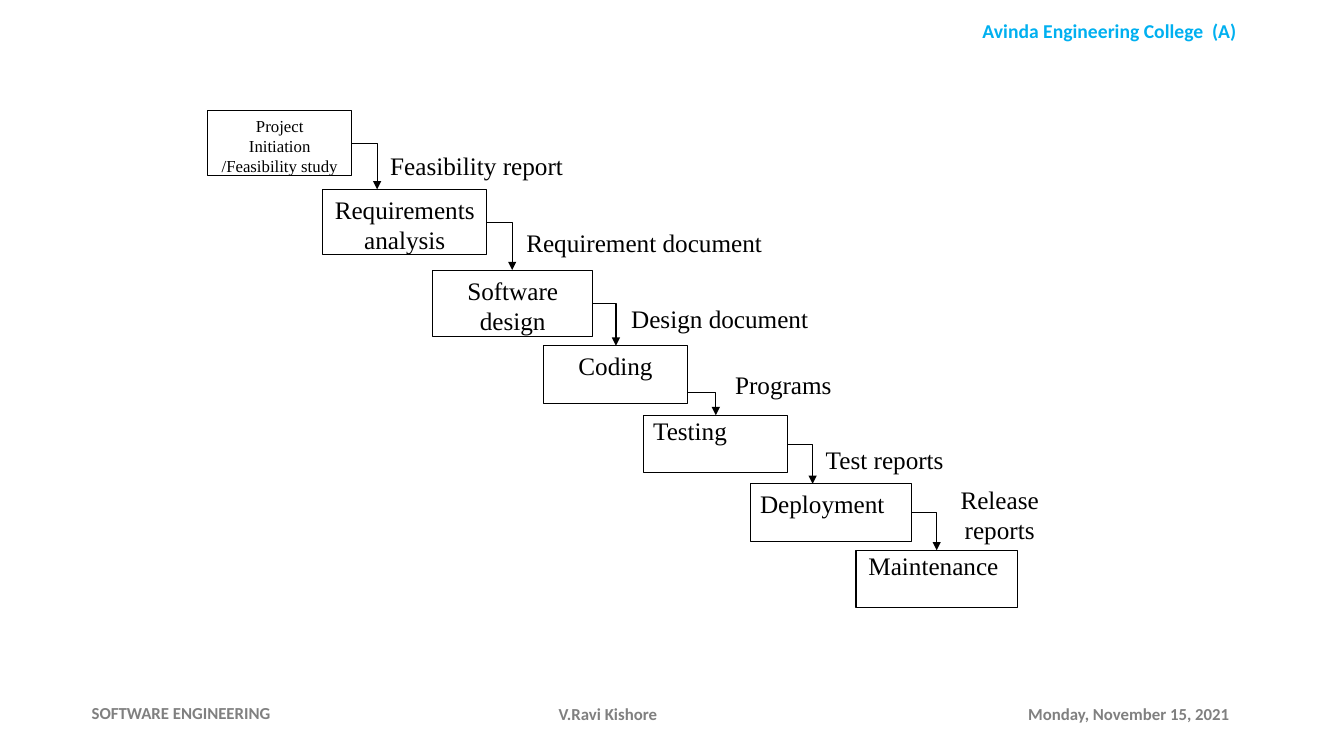
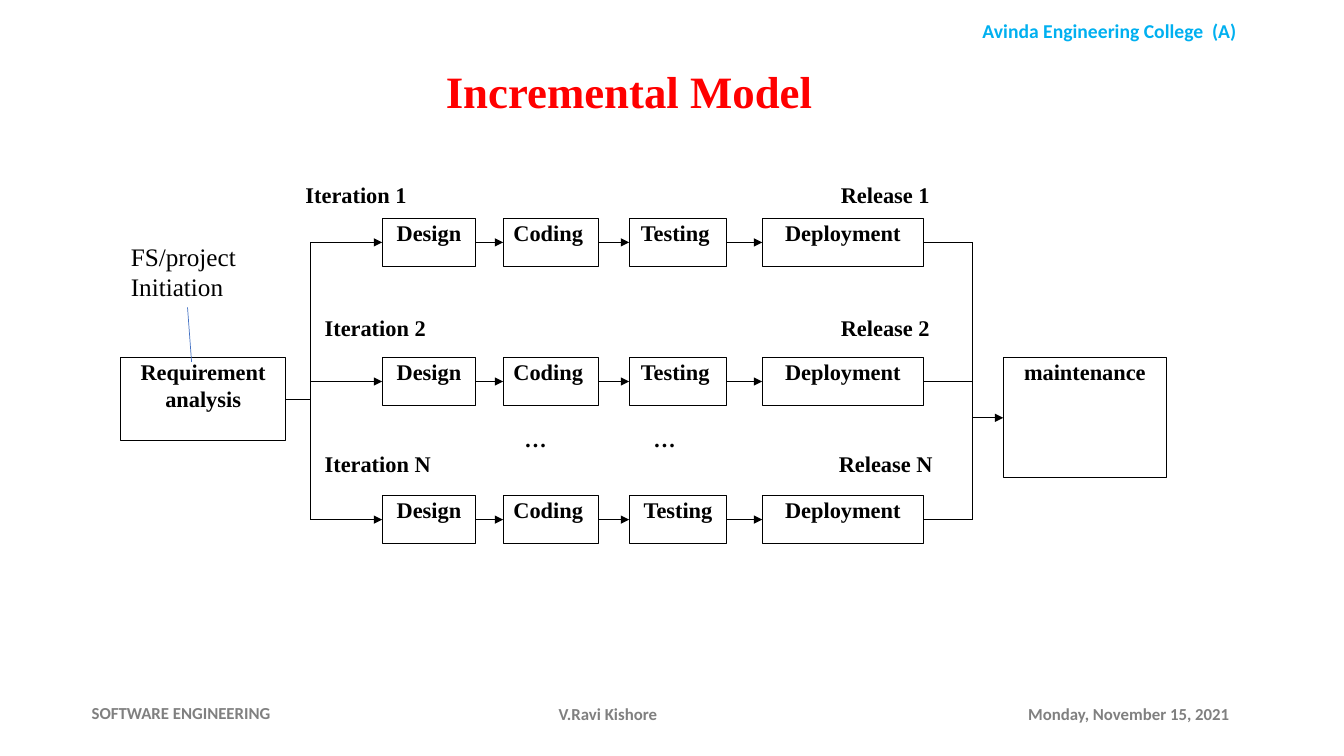
from pptx import Presentation
from pptx.dml.color import RGBColor
from pptx.enum.shapes import MSO_CONNECTOR, MSO_SHAPE
from pptx.enum.text import MSO_ANCHOR, PP_ALIGN
from pptx.oxml.ns import qn
from pptx.util import Inches, Pt
from lxml.etree import SubElement

# Shared style
BLACK, WHITE, GREY = "000000", "FFFFFF", "808080"
SKY, RED, BLUE = "00B0F0", "FF0000", "4472C4"
SERIF, SANS = "Times New Roman", "Calibri"
LEFT, CENTER = PP_ALIGN.LEFT, PP_ALIGN.CENTER
TOP, MIDDLE = MSO_ANCHOR.TOP, MSO_ANCHOR.MIDDLE
PAD, SIDES, NONE = (0.1, 0.05), (0.1, 0), (0, 0)  # horizontal, vertical inset

# Header and footer: text, place, size, colour, alignment, anchor
FRAME = [
    ("Avinda Engineering College  (A)", (9.09, 0.14, 3.83, 0.34), 14, SKY, CENTER, TOP),
    ("SOFTWARE ENGINEERING", (0.81, 6.87, 2.11, 0.4), 12, GREY, LEFT, MIDDLE),
    ("V.Ravi Kishore", (4.53, 6.88, 3, 0.4), 12, GREY, CENTER, MIDDLE),
    ("Monday, November 15, 2021", (10.1, 6.88, 2.3, 0.4), 12, GREY, LEFT, MIDDLE),
]

# Waterfall phases: text, place, size, alignment, insets
PHASES = [
    ("Project Initiation /Feasibility study", (2.06, 1.1, 1.43, 0.64), 12, CENTER, PAD),
    ("Requirements analysis", (3.2, 1.88, 1.63, 0.65), 18, CENTER, PAD),
    ("Software design", (4.29, 2.68, 1.59, 0.66), 18, CENTER, PAD),
    ("Coding", (5.39, 3.43, 1.43, 0.57), 18, CENTER, PAD),
    ("Testing", (6.38, 4.12, 1.43, 0.57), 18, LEFT, SIDES),
    ("Deployment", (7.44, 4.8, 1.6, 0.57), 18, LEFT, PAD),
    ("Maintenance ", (8.49, 5.46, 1.6, 0.57), 18, CENTER, NONE),
]
# What each phase hands on: text, place, alignment, then exit height and reach of the arrow
HANDOVERS = [
    ("Feasibility report", (3.87, 1.49, 1.72, 0.26), LEFT, 1.42, 0.25),
    ("Requirement document ", (5.22, 2.25, 3.04, 0.29), LEFT, 2.21, 0.25),
    ("Design document", (6.26, 3.01, 2.01, 0.25), LEFT, 3.01, 0.23),
    ("Programs ", (7.29, 3.66, 0.98, 0.33), LEFT, 3.89, 0.28),
    ("Test reports", (8.19, 4.41, 1.26, 0.28), LEFT, 4.41, 0.25),
    ("Release reports", (9.46, 4.8, 0.91, 0.57), CENTER, 5.08, 0.25),
]

# Incremental model: columns (left, width) and rows (top, stages, labels)
TITLE = "Incremental Model"
COLUMNS = [(3.79, 0.93), (4.99, 0.95), (6.24, 0.97), (7.56, 1.6)]
STAGES = ["Design", "Coding ", "Testing ", "Deployment"]
ROWS = [
    (2.17, STAGES, ("Iteration 1", 3.03, 1.8), ("Release 1", 8.34, 1.8)),
    (3.55, STAGES, ("Iteration 2", 3.22, 3.12), ("Release 2", 8.34, 3.12)),
    (4.92, ["Design", "Coding ", "Testing", "Deployment"],
     ("Iteration N", 3.22, 4.47), ("Release N", 8.32, 4.47)),
]
ROW_H = 0.47
FORK_X, JOIN_X = 3.08, 9.65
ANALYSIS = ("Requirement analysis", (1.2, 3.55, 1.63, 0.82))
MAINTENANCE = ("maintenance", (9.95, 3.55, 1.62, 1.19))
DOTS = [(5.2, 4.22, 0.54, 0.38), (6.48, 4.22, 0.45, 0.36)]
START_NOTE = ("FS/project Initiation", (1.2, 2.34, 1.33, 0.71))


def rgb(color):
    return RGBColor.from_string(color)


def put_text(sp, text, size, color=BLACK, font=SERIF, bold=False,
             align=LEFT, anchor=TOP, inset=PAD):
    tf = sp.text_frame
    tf.word_wrap = True
    tf.vertical_anchor = anchor
    tf.margin_left = tf.margin_right = Inches(inset[0])
    tf.margin_top = tf.margin_bottom = Inches(inset[1])
    p = tf.paragraphs[0]
    p.alignment = align
    r = p.add_run()
    r.text = text
    r.font.size, r.font.name, r.font.bold = Pt(size), font, bold
    r.font.color.rgb = rgb(color)
    return p


def add_text(s, text, place, size, **style):
    return put_text(s.shapes.add_textbox(*map(Inches, place)), text, size, **style)


def add_box(s, text, place, size, line=BLACK, **style):
    sp = s.shapes.add_shape(MSO_SHAPE.RECTANGLE, *map(Inches, place))
    sp.shadow.inherit = False
    sp.fill.solid()
    sp.fill.fore_color.rgb = rgb(WHITE)
    sp.line.color.rgb = rgb(line)
    sp.line.width = Pt(0.75)
    put_text(sp, text, size, **style)


def add_line(s, x1, y1, x2, y2, arrow=False, bent=False, color=BLACK, width=0.75):
    kind = MSO_CONNECTOR.ELBOW if bent else MSO_CONNECTOR.STRAIGHT
    cx = s.shapes.add_connector(kind, *map(Inches, (x1, y1, x2, y2)))
    cx.line.color.rgb = rgb(color)
    cx.line.width = Pt(width)
    pr = cx._element.spPr
    if bent:  # one corner: across, then down
        pr.find(qn("a:prstGeom")).set("prst", "bentConnector2")
    if arrow:
        SubElement(pr.find(qn("a:ln")), qn("a:tailEnd"), type="triangle")
    SubElement(pr, qn("a:effectLst"))


def new_slide(prs):
    s = prs.slides.add_slide(prs.slide_layouts[6])
    for text, place, size, color, align, anchor in FRAME:
        add_text(s, text, place, size, color=color, font=SANS, bold=True,
                 align=align, anchor=anchor)
    return s


prs = Presentation()
prs.slide_width, prs.slide_height = Inches(13.33), Inches(7.5)

# Slide 1: waterfall
s = new_slide(prs)
for text, place, size, align, inset in PHASES:
    add_box(s, text, place, size, align=align, inset=inset)
for i, (text, place, align, exit_y, reach) in enumerate(HANDOVERS):
    add_box(s, text, place, 18, line=WHITE, align=align, inset=NONE)
    left, _, width, _ = PHASES[i][1]
    next_top = PHASES[i + 1][1][1]
    right = left + width
    add_line(s, right, exit_y, right + reach, next_top, arrow=True, bent=True)

# Slide 2: incremental model
s = new_slide(prs)
stage = dict(size=16, bold=True, align=CENTER, inset=NONE)
label = dict(size=16, bold=True, line=WHITE, inset=NONE)
p = add_text(s, TITLE, (1.74, 0.31, 9, 1.25), 32, color=RED, bold=True,
             align=CENTER, anchor=MIDDLE)
p.line_spacing = 0.9
for text, place in (ANALYSIS, MAINTENANCE):
    add_box(s, text, place, **stage)

# Iterations, each from the fork to the join
for top, names, iteration, release in ROWS:
    mid = top + ROW_H / 2
    x = FORK_X
    for name, (left, width) in zip(names, COLUMNS):
        add_box(s, name, (left, top, width, ROW_H), **stage)
        add_line(s, x, mid, left, mid, arrow=True)
        x = left + width
    add_line(s, x, mid, JOIN_X, mid)
    for text, left, label_top in (iteration, release):
        add_box(s, text, (left, label_top, 1.19, 0.28), **label)
for place in DOTS:
    add_box(s, "…", place, **label)

# Fork, join and the links to the outer boxes
first, last = (ROWS[i][0] + ROW_H / 2 for i in (0, -1))
for x in (FORK_X, JOIN_X):
    add_line(s, x, first, x, last)
left, top, width, height = ANALYSIS[1]
add_line(s, left + width, top + height / 2, FORK_X, top + height / 2)
left, top, width, height = MAINTENANCE[1]
add_line(s, JOIN_X, top + height / 2, left, top + height / 2, arrow=True)

add_text(s, *START_NOTE, 18)
add_line(s, 1.86, 3.05, 1.9, 3.59, color=BLUE, width=0.5)

prs.save("out.pptx")
